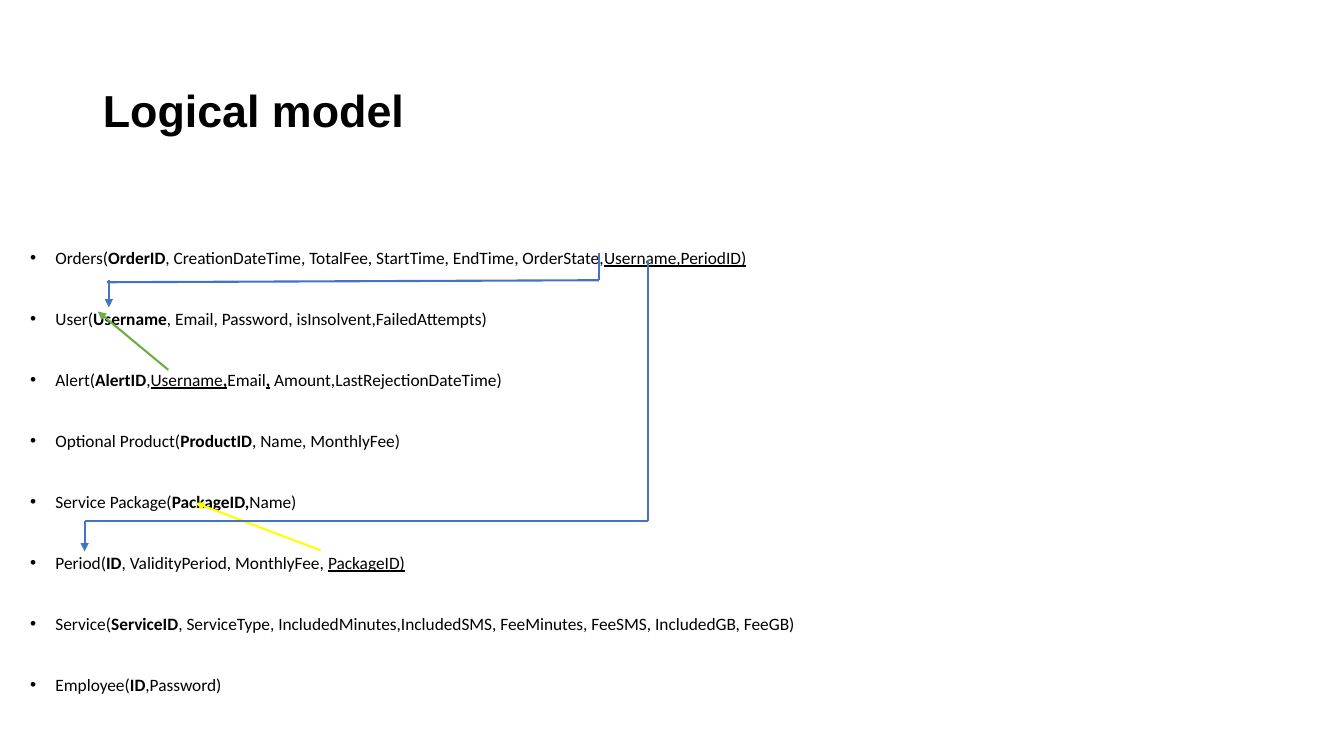
import pptx
import pptx.dml.color
import pptx.enum.shapes
import pptx.enum.text
import pptx.oxml
import pptx.oxml.ns
import pptx.util

Inches = pptx.util.Inches
Pt = pptx.util.Pt
RGBColor = pptx.dml.color.RGBColor

BLACK = RGBColor(0x00, 0x00, 0x00)
BLUE = RGBColor(0x44, 0x72, 0xC4)
GREEN = RGBColor(0x70, 0xAD, 0x47)
YELLOW = RGBColor(0xFF, 0xFF, 0x00)

TITLE_BOX = (0.92, 0.4, 7.95, 1.45)
RELATIONS_BOX = (0.2, 2.13, 12.96, 5.24)

# Each run is (text, style): "b" is a primary key, "u" a foreign key
RELATIONS = [
    [("Orders(", ""), ("OrderID", "b"),
     (", CreationDateTime, TotalFee, StartTime, EndTime, OrderState,", ""),
     ("Username,PeriodID)", "u")],
    [("User(", ""), ("Username", "b"),
     (", Email, Password, isInsolvent,FailedAttempts)", "")],
    [("Alert(", ""), ("AlertID", "b"), (",", ""), ("Username", "u"), (",", "bu"),
     ("Email", ""), (",", "bu"), (" Amount,LastRejectionDateTime)", "")],
    [("Optional Product(", ""), ("ProductID", "b"), (", Name, MonthlyFee)", "")],
    [("Service Package(", ""), ("PackageID,", "b"), ("Name)", "")],
    [("Period(", ""), ("ID", "b"), (", ValidityPeriod, MonthlyFee, ", ""),
     ("PackageID)", "u")],
    [("Service(", ""), ("ServiceID", "b"),
     (", ServiceType, IncludedMinutes,IncludedSMS, FeeMinutes, FeeSMS, "
      "IncludedGB, FeeGB)", "")],
    [("Employee(", ""), ("ID", "b"), (",Password)", "")],
]

# Routes from foreign key to primary key, measured from the relations box;
# each is a list of segments, the last of which carries the arrowhead
REFERENCES = [
    (BLUE, [(5.74, 0.38, 5.74, 0.65), (5.74, 0.65, 0.86, 0.67),
            (0.88, 0.65, 0.88, 0.92)]),
    (YELLOW, [(2.98, 3.33, 1.74, 2.86)]),
    (BLUE, [(6.23, 0.45, 6.23, 3.04), (6.23, 3.04, 0.64, 3.04),
            (0.64, 3.04, 0.64, 3.34)]),
    (GREEN, [(1.47, 1.54, 0.77, 0.96)]),
]


def place(shape, box):
    shape.left, shape.top, shape.width, shape.height = map(Inches, box)
    frame = shape.text_frame
    frame.word_wrap = True
    frame.auto_size = pptx.enum.text.MSO_AUTO_SIZE.NONE
    return frame


def add_run(paragraph, text, font_name, size, style):
    run = paragraph.add_run()
    run.text = text
    run.font.name = font_name
    run.font.size = Pt(size)
    run.font.color.rgb = BLACK
    run.font.bold = "b" in style
    run.font.underline = "u" in style


def add_title(slide, box):
    frame = place(slide.shapes.title, box)
    frame.vertical_anchor = pptx.enum.text.MSO_ANCHOR.MIDDLE
    paragraph = frame.paragraphs[0]
    paragraph.alignment = pptx.enum.text.PP_ALIGN.LEFT
    paragraph.line_spacing = 0.9
    add_run(paragraph, "Logical model", "Arial", 32, "b")


def add_relations(slide, box):
    frame = place(slide.placeholders[1], box)
    frame.vertical_anchor = pptx.enum.text.MSO_ANCHOR.TOP
    for index, relation in enumerate(RELATIONS):
        paragraph = frame.add_paragraph() if index else frame.paragraphs[0]
        paragraph.line_spacing = 2.3
        paragraph.space_before = Pt(9.4)
        # Hanging bullet
        properties = paragraph._p.get_or_add_pPr()
        properties.set("marL", str(Inches(0.25)))
        properties.set("indent", str(-Inches(0.25)))
        for text, style in relation:
            add_run(paragraph, text, "Calibri", 12.4, style)


def add_segment(slide, origin, segment, color, arrow):
    left, top = origin
    x1, y1, x2, y2 = segment
    connector = slide.shapes.add_connector(
        pptx.enum.shapes.MSO_CONNECTOR.STRAIGHT,
        Inches(left + x1), Inches(top + y1), Inches(left + x2), Inches(top + y2))
    connector.line.color.rgb = color
    connector.line.width = Pt(1.5)
    shape_properties = connector._element.spPr
    if arrow:
        line = connector.line._get_or_add_ln()
        head = pptx.oxml.parse_xml(
            f'<a:tailEnd {pptx.oxml.ns.nsdecls("a")} type="triangle"/>')
        line.append(head)
    shape_properties.append(
        pptx.oxml.parse_xml(f'<a:effectLst {pptx.oxml.ns.nsdecls("a")}/>'))


def add_references(slide, box):
    for color, route in REFERENCES:
        for segment in route:
            add_segment(slide, box[:2], segment, color, segment is route[-1])


def main():
    presentation = pptx.Presentation()
    presentation.slide_width = Inches(13.33)
    presentation.slide_height = Inches(7.5)
    slide = presentation.slides.add_slide(presentation.slide_layouts[1])
    add_title(slide, TITLE_BOX)
    add_relations(slide, RELATIONS_BOX)
    add_references(slide, RELATIONS_BOX)
    presentation.save("out.pptx")


if __name__ == "__main__":
    main()
